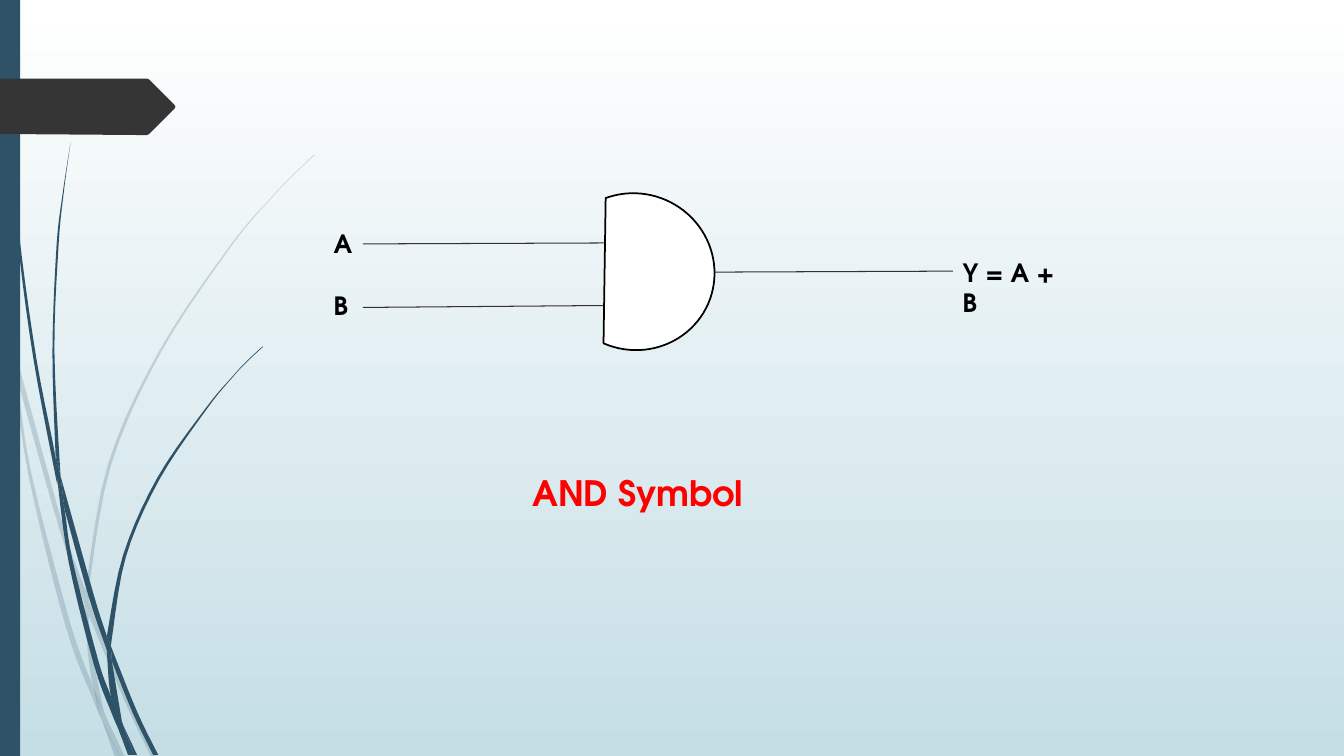
from dataclasses import dataclass

from lxml import etree
from pptx import Presentation
from pptx.dml.color import RGBColor
from pptx.enum.shapes import MSO_CONNECTOR, MSO_SHAPE
from pptx.oxml.ns import qn
from pptx.util import Pt

STRAIGHT = MSO_CONNECTOR.STRAIGHT
RECT, CHORD = MSO_SHAPE.RECTANGLE, MSO_SHAPE.CHORD
PX = 9144  # EMU per px, 100 px to the inch
CURVE_STEPS = 5


@dataclass(frozen=True)
class Theme:
    font: str = "TeX Gyre Adventor"
    accent: str = "2E5369"
    tag: str = "353535"
    wire: str = "333333"
    ink: str = "000000"
    paper: str = "FFFFFF"
    caption: str = "FF0000"
    sky: str = "C5DEE5"
    label_size: int = 18
    caption_size: int = 25
    wire_width: float = 0.75
    gate_width: float = 1.25
    pale_alpha: int = 20


THEME = Theme()

# Each wisp is a list of smooth edges, joined by straight lines
PALE_WISPS = [
    [[(11, 350), (9, 322), (0, 282)], [(0, 299), (10, 344)]],
    [[(17, 376), (58, 522), (84, 599)], [(85, 586), (62, 520), (14, 345)]],
    [[(155, 751), (127, 692), (88, 596)], [(88, 610), (123, 694), (150, 751)]],
    [[(105, 711), (119, 751)], [(124, 751), (105, 711)]],
    [[(11, 350), (17, 376), (31, 469), (70, 619), (93, 683), (99, 707)],
     [(101, 714), (92, 693), (65, 621), (28, 470), (11, 350)]],
    [[(84, 599), (87, 646), (93, 683), (105, 711)],
     [(103, 706), (91, 646), (88, 610)]],
    [[(88, 584), (110, 462), (160, 349), (229, 245), (268, 198), (290, 175),
      (312, 154)],
     [(312, 153), (289, 175), (268, 197), (228, 244), (158, 348), (107, 461),
      (85, 584)],
     [(85, 586), (88, 596)]],
    [[(101, 714), (114, 751)], [(119, 751), (101, 714)]],
    [[(88, 608), (88, 596)], [(85, 586), (84, 599)]],
    [[(93, 683), (101, 714), (119, 751)], [(105, 711), (93, 683)]],
]
DARK_WISPS = [
    [[(3, 0), (4, 48), (7, 110), (17, 233), (33, 355), (56, 477)],
     [(57, 481), (55, 453), (36, 355), (19, 232), (8, 109), (5, 48), (4, 0)]],
    [[(64, 505), (88, 592), (106, 645)], [(106, 631), (93, 590), (60, 472)]],
    [[(110, 641), (136, 706), (157, 749)], [(152, 749), (132, 708), (111, 656)]],
    [[(57, 477), (68, 557), (93, 659), (111, 708), (117, 722)],
     [(116, 717), (110, 691), (98, 657), (72, 556), (64, 505), (57, 477)]],
    [[(60, 472), (54, 349), (58, 245), (63, 193), (70, 141)],
     [(70, 141), (62, 193), (56, 245), (52, 349), (55, 449)]],
    [[(122, 719), (133, 749)], [(136, 749), (122, 719)]],
    [[(57, 477), (64, 505)], [(60, 472), (55, 449)]],
    [[(111, 633), (125, 552), (158, 476), (205, 406), (231, 374), (245, 359),
      (261, 344)],
     [(260, 344), (245, 358), (231, 373), (204, 405), (156, 474), (122, 551),
      (106, 631)],
     [(106, 631), (110, 641)]],
    [[(117, 722), (127, 749)], [(131, 749), (117, 722)]],
    [[(106, 645), (110, 691), (122, 719)], [(121, 716), (111, 656)]],
    [[(106, 645), (111, 656)], [(110, 641), (106, 631)]],
    [[(110, 691), (117, 722), (130, 749)], [(133, 749), (122, 719)]],
]
TAG_OUTLINE = [(0, 78), (146, 78), (148, 79), (173, 104), (174, 106),
               (173, 108), (148, 133), (146, 134), (136, 134), (0, 133)]

WIRES = [((360, 242), (611, 241)), ((360, 305), (611, 303)),
         ((694, 270), (945, 269))]
LABELS = [("A", (321, 222, 39, 40)), ("B", (321, 283, 35, 40)),
          ("Y = A + B", (945, 250, 127, 40))]


def emu(*lengths):
    return [round(length * PX) for length in lengths]


def rgb(color):
    return RGBColor.from_string(color)


def smooth(knots):
    """Points of a Catmull-Rom curve through the knots."""
    padded = [knots[0], *knots, knots[-1]]
    points = [knots[0]]
    for quad in zip(padded, padded[1:], padded[2:], padded[3:]):
        for step in range(1, CURVE_STEPS + 1):
            t = step / CURVE_STEPS
            points.append(tuple(
                b + t * (c - a) / 2 + t * t * (2 * a - 5 * b + 4 * c - d) / 2
                + t ** 3 * (3 * b - a - 3 * c + d) / 2
                for a, b, c, d in zip(*quad)))
    return points


def paint(shape, fill, line=None, width=0, alpha=None):
    shape.shadow.inherit = False
    shape.fill.solid()
    shape.fill.fore_color.rgb = rgb(fill)
    if alpha is not None:
        color = shape.fill._xPr.find(qn("a:solidFill"))[0]
        etree.SubElement(color, qn("a:alpha"), val=str(alpha * 1000))
    if line:
        shape.line.color.rgb = rgb(line)
        shape.line.width = Pt(width)
    else:
        shape.line.fill.background()


def add_outline(shapes, points, fill, alpha=None):
    start, *rest = [emu(*point) for point in points]
    builder = shapes.build_freeform(*start)
    builder.add_line_segments(rest, close=True)
    paint(builder.convert_to_shape(), fill, alpha=alpha)


def add_wisps(s, wisps, alpha=None):
    group = s.shapes.add_group_shape()
    for edges in wisps:
        points = [point for edge in edges for point in smooth(edge)]
        add_outline(group.shapes, points, THEME.accent, alpha)


def add_wire(s, start, end):
    wire = s.shapes.add_connector(STRAIGHT, *emu(*start, *end))
    wire.line.color.rgb = rgb(THEME.wire)
    wire.line.width = Pt(THEME.wire_width)
    etree.SubElement(wire._element.spPr, qn("a:effectLst"))


def add_text(s, text, box, size, color):
    tf = s.shapes.add_textbox(*emu(*box)).text_frame
    tf.word_wrap = True
    r = tf.paragraphs[0].add_run()
    r.text = text
    r.font.color.rgb = rgb(color)
    for name, value in {"name": THEME.font, "size": Pt(size), "bold": True}.items():
        setattr(r.font, name, value)


def set_background(s):
    fill = s.background.fill
    fill.gradient()
    fill.gradient_angle = 270
    for stop, color in zip(fill.gradient_stops, (THEME.paper, THEME.sky)):
        stop.color.rgb = rgb(color)


def main():
    prs = Presentation()
    prs.slide_width, prs.slide_height = emu(1333, 750)
    s = prs.slides.add_slide(prs.slide_layouts[6])

    # Backdrop
    set_background(s)
    add_wisps(s, PALE_WISPS, THEME.pale_alpha)
    add_wisps(s, DARK_WISPS)
    paint(s.shapes.add_shape(RECT, *emu(0, 0, 20, 750)), THEME.accent)
    add_outline(s.shapes, TAG_OUTLINE, THEME.tag)

    # Wires, labels and caption
    for start, end in WIRES:
        add_wire(s, start, end)
    for text, box in LABELS:
        add_text(s, text, box, THEME.label_size, THEME.ink)
    add_text(s, "AND Symbol", (518, 463, 232, 52), THEME.caption_size, THEME.caption)

    # Gate body
    gate = s.shapes.add_shape(CHORD, *emu(550, 192, 159, 155))
    gate.rotation = 203.5
    paint(gate, THEME.paper, THEME.ink, THEME.gate_width)

    prs.save("out.pptx")


if __name__ == "__main__":
    main()
